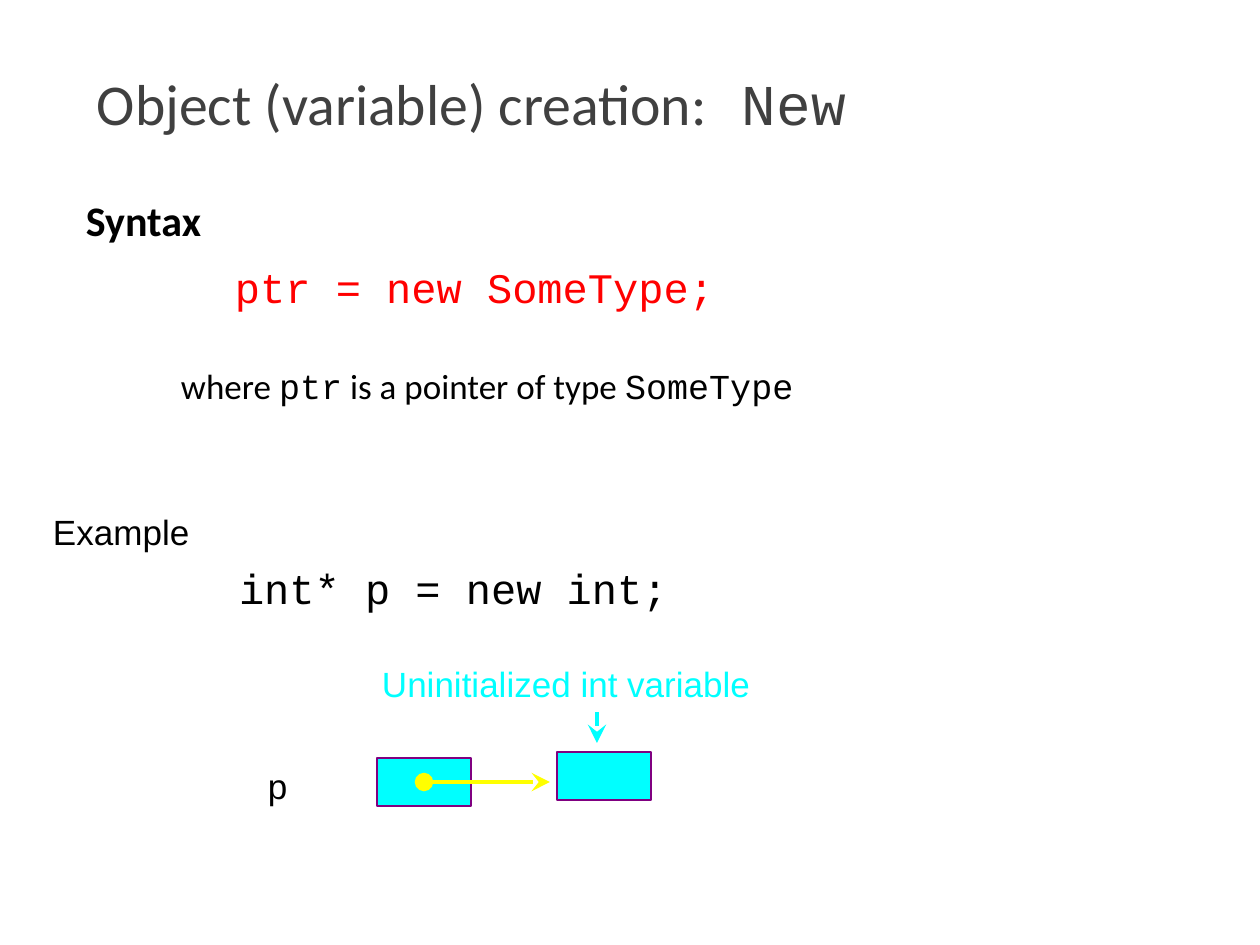
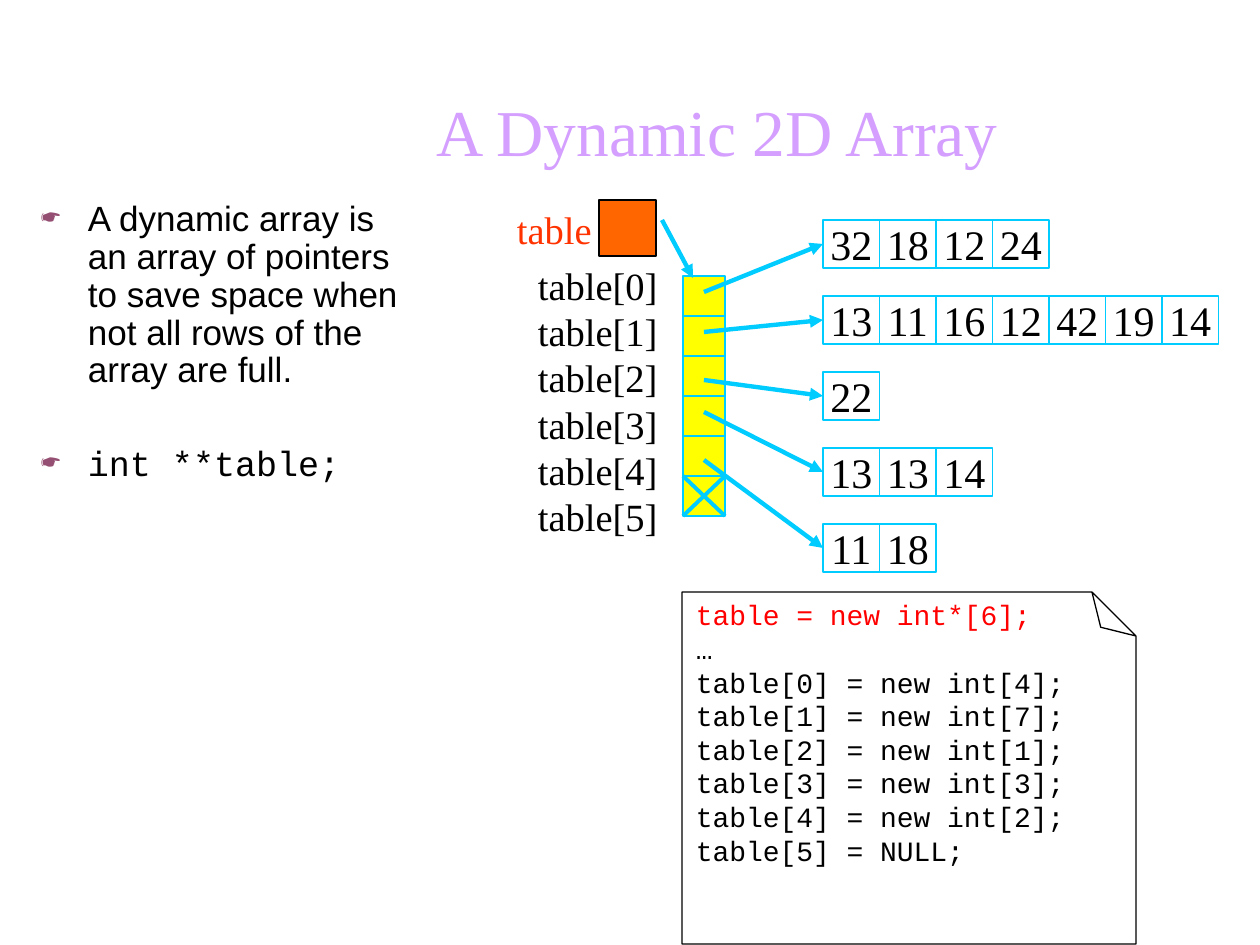
"""Build two slides on dynamic memory: the new operator and a ragged 2D array."""
from dataclasses import dataclass

from lxml import etree
from pptx import Presentation
from pptx.dml.color import RGBColor
from pptx.enum.shapes import MSO_CONNECTOR, MSO_SHAPE
from pptx.enum.text import MSO_ANCHOR, PP_ALIGN
from pptx.oxml.ns import qn
from pptx.util import Emu, Pt

RECT, FOLD = MSO_SHAPE.RECTANGLE, MSO_SHAPE.FOLDED_CORNER
LINE = MSO_CONNECTOR.STRAIGHT
TOP, MID, LOW = MSO_ANCHOR.TOP, MSO_ANCHOR.MIDDLE, MSO_ANCHOR.BOTTOM
LEFT, CENTER = PP_ALIGN.LEFT, PP_ALIGN.CENTER
PX = 914400 / 126


@dataclass(frozen=True)
class Theme:
    sans: str = "Arial"
    body: str = "Calibri"
    mono: str = "Courier New"
    serif: str = "Times New Roman"
    black: str = "000000"
    gray: str = "404040"
    red: str = "FF0000"
    cyan: str = "00FFFF"
    purple: str = "800080"
    yellow: str = "FFFF00"
    lilac: str = "D49FFF"
    plum: str = "954F72"
    sky: str = "00CCFF"
    orange: str = "FF6600"
    coral: str = "FF3300"
    head: float = 33
    title: float = 37.4
    large: float = 24
    label: float = 22
    text: float = 20
    code: float = 16
    lead: float = 1.2
    tight: float = 1.08
    thin: float = 0.75
    edge: float = 1.25
    arm: float = 2.13
    cross: float = 2.25
    arrow: float = 2.5


T = Theme()

HEAD = [("Object (variable) creation:", T.body), (" New", T.mono)]
SYNTAX = [
    dict(text="Syntax", size=T.large, font=T.body, bold=True),
    dict(text="ptr = new SomeType;", size=T.large, font=T.mono,
         color=T.red, dent=149, before=9),
    dict(text=[("where ", T.body), ("ptr", T.mono),
               (" is a pointer of type ", T.body), ("SomeType", T.mono)],
         size=T.text, dent=95, before=30),
]
NOTES = [
    ((40, 504, 256, 55), 1, dict(text="Example", size=T.text, font=T.sans)),
    ((226, 557, 548, 63), 1,
     dict(text="int* p = new int;", size=T.large, font=T.mono)),
    ((382, 662, 464, 42), 0,
     dict(text="Uninitialized int variable", size=T.text, font=T.sans,
          color=T.cyan)),
    ((268, 764, 100, 42), 0, dict(text="p", size=T.text, font=T.sans)),
]
BOXES = [(377, 758, 94, 48), (557, 752, 94, 48)]
POINTS = [
    dict(text="A dynamic array is an array of pointers to save space when "
              "not all rows of the array are full.", font=T.sans, before=5),
    dict(text="int **table;", font=T.mono, before=32),
]
ROWS = [
    (292, [32, 18, 12, 24]),
    (332, [13, 11, 16, 12, 42, 19, 14]),
    (380, [22]),
    (412, [13, 13, 14]),
    (460, [11, 18]),
]
SLOTS = 6


def px(*nums):
    return [Emu(round(n * PX)) for n in nums]


def rgb(code):
    return RGBColor.from_string(code)


def style(font, name=None, size=None, color=None, bold=None):
    if name:
        font.name = name
    if size:
        font.size = Pt(size)
    if color:
        font.color.rgb = rgb(color)
    if bold is not None:
        font.bold = bold


def inset(par, left, hang=0):
    props = par._p.get_or_add_pPr()
    props.set("marL", str(px(left)[0]))
    props.set("indent", str(px(-hang)[0]))
    return props


def para(par, text, size, font=None, color=T.black, bold=False, dent=0,
         before=0, lead=T.lead, align=LEFT):
    par.alignment = align
    par.line_spacing = Pt(round(size * lead, 1))
    par.space_before = Pt(before)
    style(par.font, font, size, color, bold)
    for part, name in [(text, None)] if isinstance(text, str) else text:
        run = par.add_run()
        run.text = part
        style(run.font, name)
    if dent:
        inset(par, dent)


def fill(frame, items, anchor=TOP, pad=1, wrap=True):
    frame.word_wrap = wrap
    frame.vertical_anchor = anchor
    frame.margin_left = frame.margin_right = px(13 * pad)[0]
    frame.margin_top = frame.margin_bottom = px(6 * pad)[0]
    for num, item in enumerate(items):
        par = frame.add_paragraph() if num else frame.paragraphs[0]
        para(par, **item)


def note(slide, box, items, pad=1):
    frame = slide.shapes.add_textbox(*px(*box)).text_frame
    fill(frame, items, pad=pad)
    return frame


def head(slide, box, item, anchor):
    shape = slide.shapes.title
    shape.left, shape.top, shape.width, shape.height = px(*box)
    fill(shape.text_frame, [dict(item, lead=T.tight)], anchor)


def block(slide, box, color, edge, width=T.thin, kind=RECT):
    shape = slide.shapes.add_shape(kind, *px(*box))
    shape.shadow.inherit = False
    if color:
        shape.fill.solid()
        shape.fill.fore_color.rgb = rgb(color)
    else:
        shape.fill.background()
    shape.line.color.rgb = rgb(edge)
    shape.line.width = Pt(width)
    return shape


def link(slide, ends, color, width, tail=None, start=None, size="med"):
    line = slide.shapes.add_connector(LINE, *px(*ends))
    line.line.color.rgb = rgb(color)
    line.line.width = Pt(width)
    mark = line.line._get_or_add_ln()
    for tag, kind in (("a:headEnd", start), ("a:tailEnd", tail)):
        if kind:
            etree.SubElement(mark, qn(tag), type=kind, w=size, len=size)
    etree.SubElement(line._element.spPr, qn("a:effectLst"))
    return line


def bullet(par):
    props = inset(par, 47, 47)
    tint = etree.SubElement(props, qn("a:buClr"))
    etree.SubElement(tint, qn("a:srgbClr"), val=T.plum)
    etree.SubElement(props, qn("a:buSzPct"), val="75000")
    etree.SubElement(props, qn("a:buChar"), char="☛")
    props.append(props.find(qn("a:defRPr")))


def creation(slide):
    head(slide, (84, 32, 1113, 147),
         dict(text=HEAD, size=T.head, color=T.gray), MID)
    note(slide, (73, 189, 1081, 567), SYNTAX)
    for box in BOXES:
        block(slide, box, T.cyan, T.purple, T.edge)
    for box, pad, item in NOTES:
        note(slide, box, [item], pad)
    link(slide, (424, 782, 550, 782), T.yellow, T.arm, "stealth", "oval", "lg")
    link(slide, (597, 712, 597, 743), T.cyan, T.arm, "stealth", size="lg")


def slots(slide):
    left, top, wide, high = 683, 276, 42, 40
    right, last = left + wide, top + (SLOTS - 1) * high
    block(slide, (left, top, wide, SLOTS * high), T.yellow, T.sky)
    for num in range(1, SLOTS):
        y = top + num * high
        link(slide, (left, y, right, y), T.sky, T.thin)
    for a, b in ((left, right), (right, left)):
        link(slide, (a, last, b, last + high), T.sky, T.cross)


def rows(slide):
    left, top, pair, high, step = 823, 220, 113, 48, 76
    for row, (y, nums) in enumerate(ROWS):
        cells = []
        for col, num in enumerate(nums):
            cell = block(slide, (left + col * pair / 2, top + row * step,
                                 pair / 2, high), None, T.sky)
            fill(cell.text_frame,
                 [dict(text=str(num), size=T.large, font=T.serif,
                       align=CENTER)], MID, wrap=False)
            cells.append(cell)
        mid = top + row * step + high // 2
        line = link(slide, (704, y, left, mid), T.sky, T.arrow, "triangle")
        line.end_connect(cells[0], 1)


def listing(slide):
    page = block(slide, (733, 541, 352, 454), None, T.black, kind=FOLD)
    page.rotation = 270
    guides = page._element.spPr.find(qn("a:prstGeom")).get_or_add_avLst()
    etree.SubElement(guides, qn("a:gd"), name="adj", fmla="val 12500")
    lines = ["table = new int*[6];", "…"]
    lines += [f"table[{num}] = new int[{len(row)}];"
              for num, (_, row) in enumerate(ROWS)]
    lines.append(f"table[{SLOTS - 1}] = NULL;")
    note(slide, (683, 592, 398, 282),
         [dict(text=line, size=T.code, font=T.mono,
               color=T.black if num else T.red)
          for num, line in enumerate(lines)])


def array(slide):
    head(slide, (175, 81, 1085, 95),
         dict(text="A Dynamic 2D Array", size=T.title, font=T.serif,
              color=T.lilac, align=CENTER), LOW)
    frame = note(slide, (28, 195, 388, 708),
                 [dict(item, size=T.text, lead=T.tight) for item in POINTS])
    for par in frame.paragraphs:
        bullet(par)
    slots(slide)
    rows(slide)
    listing(slide)
    name = dict(size=T.label, font=T.serif)
    note(slide, (525, 256, 155, 290),
         [dict(name, text=f"table[{num}]") for num in range(SLOTS)])
    block(slide, (599, 200, 57, 56), T.orange, T.black)
    link(slide, (662, 220, 693, 278), T.sky, T.arrow, "triangle")
    note(slide, (504, 200, 104, 59), [dict(name, text="table", color=T.coral)])


def main():
    deck = Presentation()
    deck.slide_width, deck.slide_height = px(1260, 945)
    for draw in (creation, array):
        draw(deck.slides.add_slide(deck.slide_layouts[5]))
    deck.save("out.pptx")


if __name__ == "__main__":
    main()
